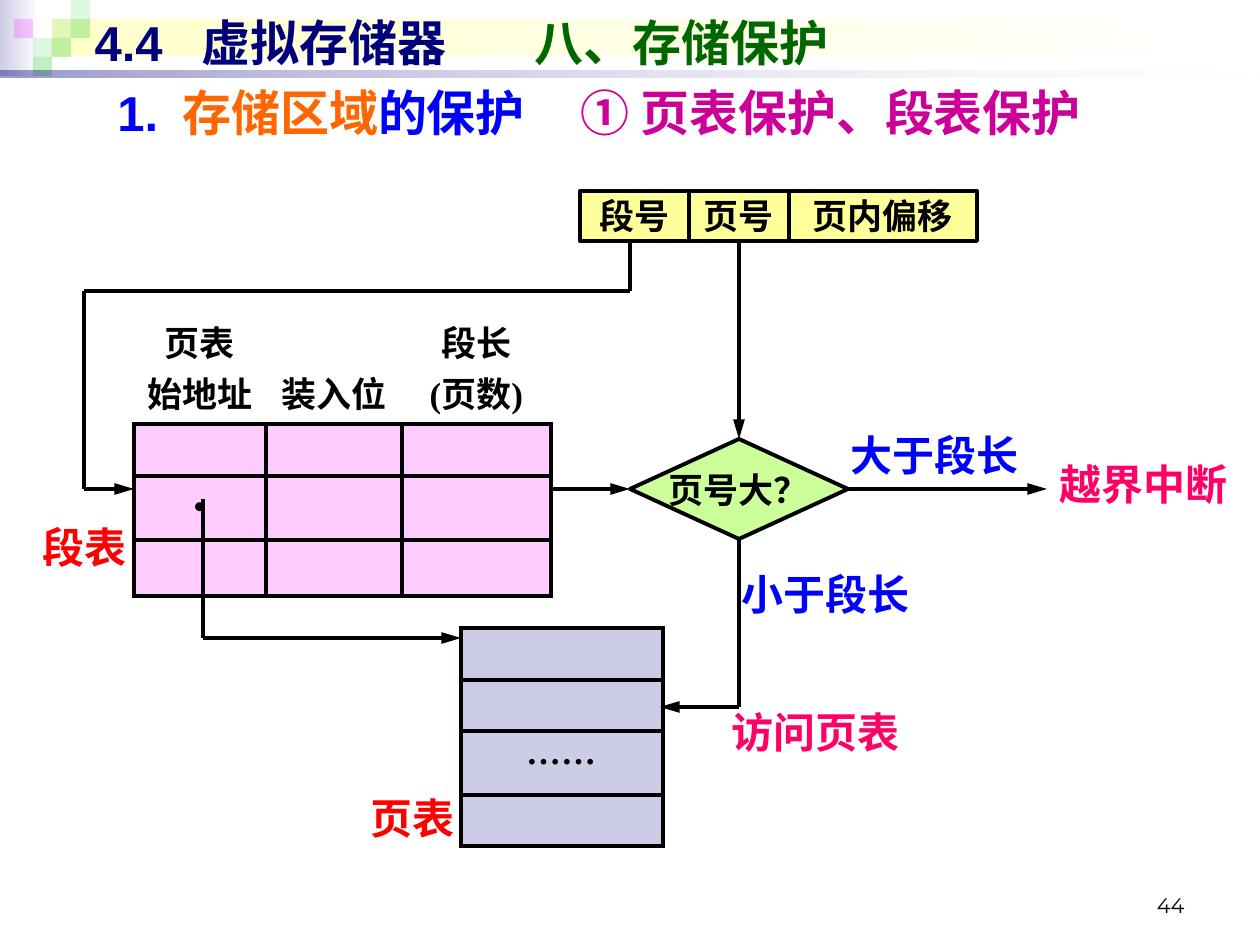
from dataclasses import dataclass
from typing import Optional

from lxml.etree import SubElement
from pptx import Presentation
from pptx.dml.color import RGBColor
from pptx.enum.shapes import MSO_CONNECTOR as Connector, MSO_SHAPE as Preset
from pptx.enum.text import MSO_ANCHOR as Anchor, MSO_AUTO_SIZE as AutoSize, PP_ALIGN as Align
from pptx.oxml.ns import qn
from pptx.util import Emu, Inches, Pt

PIXEL = 914400 // 126
LINE_WIDTH = Pt(2.25)
SERIF, SANS, CJK = "Times New Roman", "Arial", "Noto Sans CJK SC"
COLORS = {
    "black": "000000", "white": "FFFFFF", "navy": "00007D", "lavender": "CCCCE6",
    "cream": "FFFFCC", "square": "33CC33", "magenta": "FF00FF", "green": "006600",
    "yellow": "FFFF99", "lime": "CCFF99", "pink": "FFCCFF", "red": "FF0000",
    "blue": "0000FF", "rose": "FF0066", "orange": "FF6600", "purple": "CC0099",
}


@dataclass
class Box:
    """A rectangle in pixels."""
    left: int
    top: int
    width: int
    height: int

    def emu(self) -> list:
        """Return the four lengths in EMU."""
        return [Emu(n * PIXEL) for n in (self.left, self.top, self.width, self.height)]


@dataclass
class Piece:
    """A run of text with its format."""
    text: str
    color: str = "black"
    size: int = 20
    font: str = SERIF
    bold: bool = True


@dataclass
class Band:
    """A left-to-right gradient strip with the opacity of both ends."""
    box: Box
    start: str
    opacities: tuple = (100, 100)


@dataclass
class Square:
    """A translucent square on the corner grid."""
    column: int
    row: int
    color: str
    opacity: int


@dataclass
class Node:
    """An outlined shape with a caption."""
    box: Box
    caption: str
    fill: str
    preset: int = Preset.RECTANGLE


@dataclass
class Route:
    """A path of straight lines that ends in an arrowhead."""
    points: list


@dataclass
class Grid:
    """A table with its column widths, row heights and texts by cell."""
    left: int
    top: int
    widths: list
    heights: list
    fill: str
    texts: dict
    header: bool = False


def rgb(name: str) -> RGBColor:
    """Look up a colour."""
    return RGBColor.from_string(COLORS[name])


def set_opacity(fill, values) -> None:
    """Set the opacity of each colour in a fill, in percent."""
    colors = fill._xPr.iter(qn("a:srgbClr"))
    for color, value in zip(colors, values):
        SubElement(color, qn("a:alpha"), val=str(value * 1000))


def write(frame, lines: list, align=Align.CENTER, anchor=Anchor.MIDDLE,
          wrap: Optional[bool] = None, tabs: tuple = (), before: int = 0) -> None:
    """Fill a text frame with lines, each a list of pieces."""
    if wrap is not None:
        frame.word_wrap = wrap
        frame.auto_size = AutoSize.NONE
        frame.vertical_anchor = anchor
    for number, pieces in enumerate(lines):
        paragraph = frame.paragraphs[0] if number == 0 else frame.add_paragraph()
        paragraph.alignment = align
        paragraph.space_before = Pt(before)
        if tabs:
            stops = SubElement(paragraph._p.get_or_add_pPr(), qn("a:tabLst"))
            for stop in tabs:
                SubElement(stops, qn("a:tab"), pos=str(stop * PIXEL), algn="l")
        for piece in pieces:
            run = paragraph.add_run()
            run.text = piece.text
            formats = {"name": piece.font, "size": Pt(piece.size), "bold": piece.bold}
            for key, value in formats.items():
                setattr(run.font, key, value)
            run.font.color.rgb = rgb(piece.color)
            east_asian = piece.font if piece.font == "Montserrat" else CJK
            SubElement(run._r.get_or_add_rPr(), qn("a:ea"), typeface=east_asian)


def add_text(slide, box: Box, pieces: list, **options) -> None:
    """Add a one-line text box."""
    frame = slide.shapes.add_textbox(*box.emu()).text_frame
    write(frame, [pieces], **{"align": Align.LEFT, "wrap": True, **options})


def add_plain(slide, box: Box, preset=Preset.RECTANGLE):
    """Add a shape without shadow or outline."""
    shape = slide.shapes.add_shape(preset, *box.emu())
    shape.shadow.inherit = False
    shape.line.fill.background()
    return shape


def add_band(slide, band: Band) -> None:
    """Add a strip that fades to white."""
    fill = add_plain(slide, band.box).fill
    fill.gradient()
    fill.gradient_angle = 0
    for stop, color, position in zip(fill.gradient_stops, (band.start, "white"), (0, 1)):
        stop.color.rgb = rgb(color)
        stop.position = position
    set_opacity(fill, band.opacities)


def add_square(slide, square: Square) -> None:
    """Add one square of the corner pattern."""
    side = 19
    box = Box(14 + side * square.column, side * square.row, side, side)
    fill = add_plain(slide, box).fill
    fill.solid()
    fill.fore_color.rgb = rgb(square.color)
    set_opacity(fill, [square.opacity])


def add_node(slide, node: Node) -> None:
    """Add an outlined, captioned shape."""
    shape = add_plain(slide, node.box, node.preset)
    shape.fill.solid()
    shape.fill.fore_color.rgb = rgb(node.fill)
    shape.line.color.rgb = rgb("black")
    shape.line.width = LINE_WIDTH
    write(shape.text_frame, [[Piece(node.caption)]], wrap=False)


def add_route(slide, route: Route) -> None:
    """Add the connectors of a route."""
    for start, end in zip(route.points, route.points[1:]):
        ends = [Emu(n * PIXEL) for n in (*start, *end)]
        connector = slide.shapes.add_connector(Connector.STRAIGHT, *ends)
        connector.line.color.rgb = rgb("black")
        connector.line.width = LINE_WIDTH
        if end == route.points[-1]:
            SubElement(connector.line._get_or_add_ln(), qn("a:tailEnd"),
                       type="triangle", w="med", len="lg")
        SubElement(connector._element.spPr, qn("a:effectLst"))


def set_borders(cell, sides: str) -> None:
    """Draw the named sides of a cell and clear the others."""
    properties = cell._tc.get_or_add_tcPr()
    for side in "LRTB":
        line = SubElement(properties, qn(f"a:ln{side}"), w=str(LINE_WIDTH))
        if side in sides:
            fill = SubElement(line, qn("a:solidFill"))
            SubElement(fill, qn("a:srgbClr"), val=COLORS["black"])
        else:
            SubElement(line, qn("a:noFill"))


def add_grid(slide, grid: Grid) -> None:
    """Add a table with an optional unframed header row."""
    box = Box(grid.left, grid.top, sum(grid.widths), sum(grid.heights))
    table = slide.shapes.add_table(len(grid.heights), len(grid.widths), *box.emu()).table
    table.first_row = table.horz_banding = False
    for column, width in zip(table.columns, grid.widths):
        column.width = Emu(width * PIXEL)
    for y, height in enumerate(grid.heights):
        table.rows[y].height = Emu(height * PIXEL)
        heading = grid.header and y == 0
        for x in range(len(grid.widths)):
            cell = table.cell(y, x)
            cell.margin_top = 0
            cell.vertical_anchor = Anchor.BOTTOM if heading else Anchor.MIDDLE
            set_borders(cell, "B" if heading else "LRTB")
            if heading:
                cell.fill.background()
            else:
                cell.fill.solid()
                cell.fill.fore_color.rgb = rgb(grid.fill)
            font = SERIF if heading else CJK
            lines = [[Piece(text, font=font)] for text in grid.texts.get((y, x), [])]
            write(cell.text_frame, lines, before=0 if heading else 6)


BANDS = [Band(Box(0, 0, 39, 76), "lavender"), Band(Box(52, 19, 1203, 37), "cream"),
         Band(Box(0, 71, 1260, 7), "navy", (40, 10))]
SQUARES = [Square(2, 1, "square", 15), Square(3, 0, "square", 15),
           Square(3, 1, "square", 30), Square(1, 2, "square", 15),
           Square(0, 1, "magenta", 20), Square(2, 2, "square", 30),
           Square(1, 3, "square", 30)]
NODES = [Node(Box(580, 191, 109, 50), "段号", "yellow"),
         Node(Box(689, 191, 100, 50), "页号", "yellow"),
         Node(Box(789, 191, 188, 50), "页内偏移", "yellow"),
         Node(Box(630, 439, 218, 100), "页号大？", "lime", Preset.FLOWCHART_DECISION)]
GRIDS = [Grid(134, 310, [132, 136, 149], [114, 52, 64, 56], "pink",
              {(0, 0): ["页表", "始地址"], (0, 1): ["装入位"],
               (0, 2): ["段长", "(页数)"], (2, 0): ["·"]}, header=True),
         Grid(461, 628, [202], [52, 51, 64, 51], "lavender", {(2, 0): ["……"]})]
ROUTES = [Route([(630, 241), (630, 291), (84, 291), (84, 489), (134, 489)]),
          Route([(203, 499), (203, 638), (461, 638)]),
          Route([(739, 241), (739, 439)]), Route([(551, 489), (630, 489)]),
          Route([(739, 538), (739, 707), (660, 707)]), Route([(848, 489), (1047, 489)])]
LABELS = [(Box(30, 515, 134, 63), "段表", "red"), (Box(358, 786, 134, 63), "页表", "red"),
          (Box(838, 423, 218, 63), "大于段长", "blue"),
          (Box(729, 562, 218, 63), "小于段长", "blue"),
          (Box(1047, 452, 198, 63), "越界中断", "rose"),
          (Box(719, 700, 198, 63), "访问页表", "rose")]

presentation = Presentation()
presentation.slide_width, presentation.slide_height = Inches(10), Inches(7.5)
slide = presentation.slides.add_slide(presentation.slide_layouts[5])
for items, draw in ((BANDS[:2], add_band), (SQUARES, add_square), (BANDS[2:], add_band),
                    (NODES, add_node), (GRIDS, add_grid), (ROUTES, add_route)):
    for item in items:
        draw(slide, item)
for box, text, color in LABELS:
    add_text(slide, box, [Piece(text, color, 24)])

title = slide.shapes.title
title.left, title.top, title.width, title.height = Box(82, 6, 1134, 72).emu()
write(title.text_frame, [[Piece("4.4\t虚拟存储器\t", "navy", 28, SANS),
                          Piece("八、存储保护", "green", 28, SANS)]],
      align=Align.LEFT, wrap=True, tabs=(107, 440))
# Bring the title in front of the header bands.
title._element.getparent().append(title._element)
add_text(slide, Box(105, 76, 1114, 72),
         [Piece("1.\t", "blue", 28, SANS), Piece("存储区域", "orange", 28, SANS),
          Piece("的保护\t", "blue", 28, SANS),
          Piece("① 页表保护、段表保护", "purple", 28, SANS)], tabs=(65, 463))
add_text(slide, Box(903, 861, 294, 63), [Piece("44", size=12, font="Montserrat", bold=False)],
         align=Align.RIGHT, anchor=Anchor.BOTTOM)
presentation.save("out.pptx")
